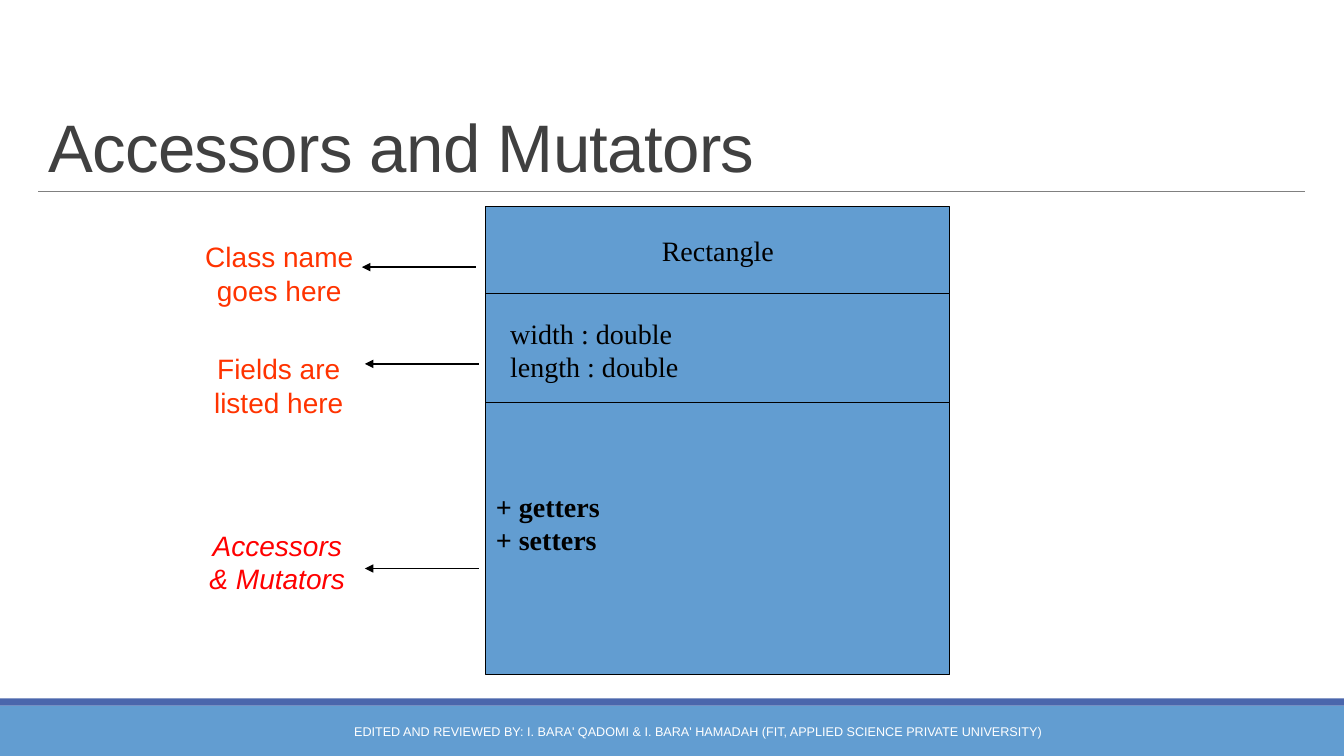
"""Build the Accessors and Mutators slide with its annotated class diagram."""
from dataclasses import dataclass, field

import pptx
import pptx.dml.color
import pptx.enum.shapes
import pptx.enum.text
import pptx.oxml
import pptx.oxml.ns
import pptx.util

Inches = pptx.util.Inches
Pt = pptx.util.Pt
RGBColor = pptx.dml.color.RGBColor
PP_ALIGN = pptx.enum.text.PP_ALIGN
MSO_ANCHOR = pptx.enum.text.MSO_ANCHOR

BLUE = RGBColor(0x62, 0x9D, 0xD1)
INDIGO = RGBColor(0x4A, 0x66, 0xAC)
GRAY = RGBColor(0x80, 0x80, 0x80)
DARK = RGBColor(0x40, 0x40, 0x40)
ORANGE = RGBColor(0xFF, 0x33, 0x00)
RED = RGBColor(0xFF, 0x00, 0x00)
BLACK = RGBColor(0, 0, 0)
WHITE = RGBColor(0xFF, 0xFF, 0xFF)

SANS = "Arial"
SERIF = "Times New Roman"


@dataclass
class Compartment:
    top: float
    height: float
    lines: list[str]
    align: PP_ALIGN = PP_ALIGN.LEFT
    bold: bool = False
    frame: dict = field(default_factory=dict)


@dataclass
class Label:
    text: str
    top: float
    width: float
    color: RGBColor
    arrow_left: float
    arrow_y: float
    italic: bool = False


COMPARTMENTS = [
    Compartment(2.05, 0.86, ["Rectangle"], PP_ALIGN.CENTER),
    Compartment(2.91, 1.12, ["width : double", "length : double"],
                frame={"margin_left": Inches(0.24)}),
    Compartment(3.99, 2.7, ["+ getters", "+ setters"], bold=True,
                frame={"margin_bottom": Inches(0.36)}),
]
LABELS = [
    Label("Class name goes here", 2.33, 1.72, ORANGE, 3.59, 2.65),
    Label("Fields are listed here", 3.44, 1.71, ORANGE, 3.62, 3.61),
    Label("Accessors & Mutators", 5.19, 1.68, RED, 3.62, 5.64, True),
]


def box(*lengths: float) -> list[int]:
    return [Inches(n) for n in lengths]


def write(tf, lines: list[str], size: float, color: RGBColor, name: str = SANS,
          align: PP_ALIGN = PP_ALIGN.CENTER, anchor: MSO_ANCHOR = MSO_ANCHOR.MIDDLE,
          **style) -> None:
    tf.word_wrap = True
    tf.vertical_anchor = anchor
    for i, line in enumerate(lines):
        p = tf.add_paragraph() if i else tf.paragraphs[0]
        p.alignment = align
        r = p.add_run()
        r.text = line
        r.font.color.rgb = color
        for key, value in {"size": Pt(size), "name": name, **style}.items():
            setattr(r.font, key, value)


def add_rect(s, place: list[int], fill: RGBColor, outlined: bool = False):
    sp = s.shapes.add_shape(pptx.enum.shapes.MSO_SHAPE.RECTANGLE, *place)
    sp.shadow.inherit = False
    sp.fill.solid()
    sp.fill.fore_color.rgb = fill
    if outlined:
        sp.line.color.rgb = BLACK
        sp.line.width = Pt(0.75)
    else:
        sp.line.fill.background()
    return sp


def add_line(s, x1: float, x2: float, y: float, color: RGBColor, width: float,
             arrow: bool = False) -> None:
    line = s.shapes.add_connector(pptx.enum.shapes.MSO_CONNECTOR.STRAIGHT,
                                  *box(x1, y, x2, y))
    line.line.color.rgb = color
    line.line.width = Pt(width)
    ns = pptx.oxml.ns.nsdecls("a")
    if arrow:
        line.line._get_or_add_ln().append(
            pptx.oxml.parse_xml(f'<a:tailEnd {ns} type="triangle"/>'))
    line._element.spPr.append(pptx.oxml.parse_xml(f"<a:effectLst {ns}/>"))


def add_title(s, text: str) -> None:
    sp = s.shapes.title
    for key, value in zip(("left", "top", "width", "height"), box(0.38, 0.31, 12.56, 1.59)):
        setattr(sp, key, value)
    tf = sp.text_frame
    tf.auto_size = pptx.enum.text.MSO_AUTO_SIZE.NONE
    write(tf, [text], 48, DARK, align=PP_ALIGN.LEFT, anchor=MSO_ANCHOR.BOTTOM)
    p = tf.paragraphs[0]
    p.line_spacing = 0.85
    p.runs[0].font._element.set("spc", "-50")


def add_compartment(s, c: Compartment) -> None:
    tf = add_rect(s, box(4.82, c.top, 4.6, c.height), BLUE, True).text_frame
    write(tf, c.lines, 20, BLACK, SERIF, c.align, bold=c.bold)
    for key, value in c.frame.items():
        setattr(tf, key, value)


def add_label(s, label: Label) -> None:
    sp = s.shapes.add_textbox(*box(1.91, label.top, label.width, 0.77))
    write(sp.text_frame, [label.text], 20, label.color,
          anchor=MSO_ANCHOR.TOP, italic=label.italic)
    add_line(s, label.arrow_left + 1.13, label.arrow_left, label.arrow_y, BLACK, 1, True)


def main() -> None:
    prs = pptx.Presentation()
    prs.slide_width, prs.slide_height = box(13.33, 7.5)
    s = prs.slides.add_slide(prs.slide_layouts[5])
    add_rect(s, box(0, 7, 13.33, 0.5), BLUE)
    add_rect(s, box(0, 6.93, 13.33, 0.07), INDIGO)
    add_line(s, 0.38, 12.94, 1.9, GRAY, 0.5)
    add_title(s, "Accessors and Mutators")
    footer = s.shapes.add_textbox(*box(3.11, 7.06, 7.62, 0.4))
    write(footer.text_frame,
          ["EDITED AND REVIEWED BY: I. BARA' QADOMI & I. BARA' HAMADAH "
           "(FIT, APPLIED SCIENCE PRIVATE UNIVERSITY)"], 9, WHITE)
    for compartment in COMPARTMENTS:
        add_compartment(s, compartment)
    for label in LABELS:
        add_label(s, label)
    prs.save("out.pptx")


if __name__ == "__main__":
    main()
